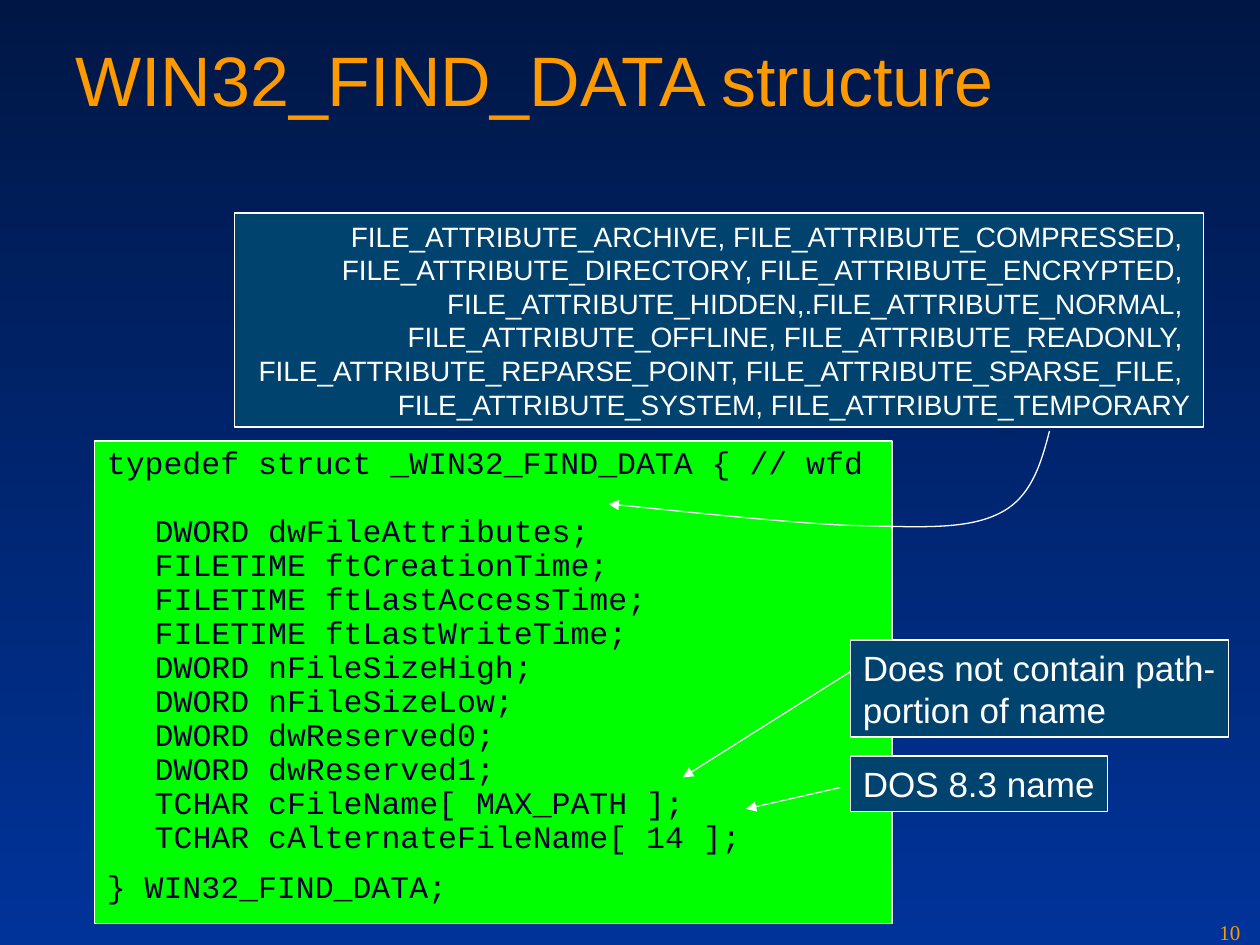
from dataclasses import dataclass

import pptx
import pptx.dml.color
import pptx.enum.shapes
import pptx.enum.text
import pptx.oxml
import pptx.oxml.ns
import pptx.util

ALIGN = pptx.enum.text.PP_ALIGN
EMU_PER_PX = 9144


def px(length):
    return pptx.util.Emu(length * EMU_PER_PX)


def rgb(value):
    return pptx.dml.color.RGBColor.from_string(value)


def drawing_element(tag, attributes=""):
    return pptx.oxml.parse_xml(f'<a:{tag} {pptx.oxml.ns.nsdecls("a")} {attributes}/>')


@dataclass(frozen=True)
class Theme:
    sky_top: str = "001746"
    sky_bottom: str = "003399"
    accent: str = "FE9900"
    white: str = "FFFFFF"
    code_fill: str = "00FF00"
    code_ink: str = "000033"
    note_fill: str = "00436E"
    sans: str = "Arial"
    mono: str = "Courier New"
    serif: str = "Times New Roman"
    title_size: int = 40
    note_size: int = 20
    code_size: int = 18
    flags_size: int = 16
    number_size: int = 12
    line_width: float = 0.75


class SlideBuilder:
    def __init__(self, slide, theme):
        self.slide = slide
        self.shapes = slide.shapes
        self.theme = theme

    def background(self):
        fill = self.slide.background.fill
        fill.gradient()
        fill.gradient_angle = 270
        for stop, color in zip(fill.gradient_stops, (self.theme.sky_top, self.theme.sky_bottom)):
            stop.color.rgb = rgb(color)

    def add_lines(self, paragraph, lines, font, size, color):
        for index, line in enumerate(lines):
            if index:
                paragraph.add_line_break()
            run = paragraph.add_run()
            run.text = line
            run.font.name = font
            run.font.size = pptx.util.Pt(size)
            run.font.color.rgb = rgb(color)

    def label(self, box, text, font, size):
        frame = self.shapes.add_textbox(*map(px, box)).text_frame
        frame.word_wrap = True
        self.add_lines(frame.paragraphs[0], [text], font, size, self.theme.accent)

    def panel(self, box, fill):
        panel = self.shapes.add_shape(pptx.enum.shapes.MSO_SHAPE.RECTANGLE, *map(px, box))
        panel.shadow.inherit = False
        panel.fill.solid()
        panel.fill.fore_color.rgb = rgb(fill)
        self.outline(panel)
        panel.text_frame.vertical_anchor = pptx.enum.text.MSO_ANCHOR.TOP
        return panel.text_frame

    def note(self, box, lines, size, align=ALIGN.LEFT):
        frame = self.panel(box, self.theme.note_fill)
        frame.word_wrap = False
        frame.auto_size = pptx.enum.text.MSO_AUTO_SIZE.SHAPE_TO_FIT_TEXT
        frame.paragraphs[0].alignment = align
        self.add_lines(frame.paragraphs[0], lines, self.theme.sans, size, self.theme.white)

    def code(self, box, blocks):
        frame = self.panel(box, self.theme.code_fill)
        frame.word_wrap = True
        for index, lines in enumerate(blocks):
            paragraph = frame.add_paragraph() if index else frame.paragraphs[0]
            paragraph.alignment = ALIGN.LEFT
            paragraph.line_spacing = 0.9
            paragraph.space_before = pptx.util.Pt(4.5 if index else 0)
            paragraph.space_after = pptx.util.Pt(4.5)
            indent = paragraph._p.get_or_add_pPr()
            indent.set("marL", str(px(38)))
            indent.set("indent", str(px(-38)))
            self.add_lines(paragraph, lines, self.theme.mono, self.theme.code_size,
                           self.theme.code_ink)

    def outline(self, shape):
        shape.line.color.rgb = rgb(self.theme.white)
        shape.line.width = pptx.util.Pt(self.theme.line_width)

    def arrowhead(self, shape):
        self.outline(shape)
        shape.line._get_or_add_ln().append(drawing_element("tailEnd", 'type="triangle"'))

    def arrow(self, start, end):
        arrow = self.shapes.add_connector(
            pptx.enum.shapes.MSO_CONNECTOR.STRAIGHT, *map(px, start + end))
        self.arrowhead(arrow)
        arrow._element.spPr.append(drawing_element("effectLst"))

    def curved_arrow(self, start, *controls):
        builder = self.shapes.build_freeform(*start, scale=EMU_PER_PX)
        builder.add_line_segments(controls, close=False)
        curve = builder.convert_to_shape()
        curve.shadow.inherit = False
        curve.fill.background()
        self.arrowhead(curve)
        segments = curve._element.findall(".//" + pptx.oxml.ns.qn("a:lnTo"))
        for first in range(0, len(segments), 3):
            bezier = drawing_element("cubicBezTo")
            segments[first].addprevious(bezier)
            for segment in segments[first:first + 3]:
                bezier.append(segment[0])
                segment.getparent().remove(segment)


FLAGS = [
    "FILE_ATTRIBUTE_ARCHIVE, FILE_ATTRIBUTE_COMPRESSED, ",
    "FILE_ATTRIBUTE_DIRECTORY, FILE_ATTRIBUTE_ENCRYPTED, ",
    "FILE_ATTRIBUTE_HIDDEN,.FILE_ATTRIBUTE_NORMAL, ",
    "FILE_ATTRIBUTE_OFFLINE, FILE_ATTRIBUTE_READONLY, ",
    "FILE_ATTRIBUTE_REPARSE_POINT, FILE_ATTRIBUTE_SPARSE_FILE, ",
    "FILE_ATTRIBUTE_SYSTEM, FILE_ATTRIBUTE_TEMPORARY",
]

STRUCT = [
    "typedef struct _WIN32_FIND_DATA { // wfd ",
    "DWORD dwFileAttributes; ",
    "FILETIME ftCreationTime; ",
    "FILETIME ftLastAccessTime; ",
    "FILETIME ftLastWriteTime; ",
    "DWORD nFileSizeHigh; ",
    "DWORD nFileSizeLow; ",
    "DWORD dwReserved0; ",
    "DWORD dwReserved1; ",
    "TCHAR cFileName[ MAX_PATH ]; ",
    "TCHAR cAlternateFileName[ 14 ];",
]


def main():
    deck = pptx.Presentation()
    deck.slide_width, deck.slide_height = px(1000), px(750)
    theme = Theme()
    page = SlideBuilder(deck.slides.add_slide(deck.slide_layouts[6]), theme)
    page.background()
    page.label((50, 24, 900, 125), "WIN32_FIND_DATA structure", theme.sans, theme.title_size)
    page.code((75, 350, 633, 383), [STRUCT, ["} WIN32_FIND_DATA;"]])
    page.note((675, 508, 300, 77), ["Does not contain path-", "portion of name"], theme.note_size)
    page.arrow((675, 533), (542, 617))
    page.note((675, 600, 204, 44), ["DOS 8.3 name"], theme.note_size)
    page.arrow((667, 625), (592, 642))
    page.note((186, 169, 769, 170), FLAGS, theme.flags_size, ALIGN.RIGHT)
    page.curved_arrow(
        (833, 342),
        (826, 369), (818, 396), (792, 408),
        (765, 421), (726, 418), (675, 417),
        (624, 415), (515, 403), (483, 400))
    page.label((958, 725, 42, 25), "10", theme.serif, theme.number_size)
    deck.save("out.pptx")


if __name__ == "__main__":
    main()
